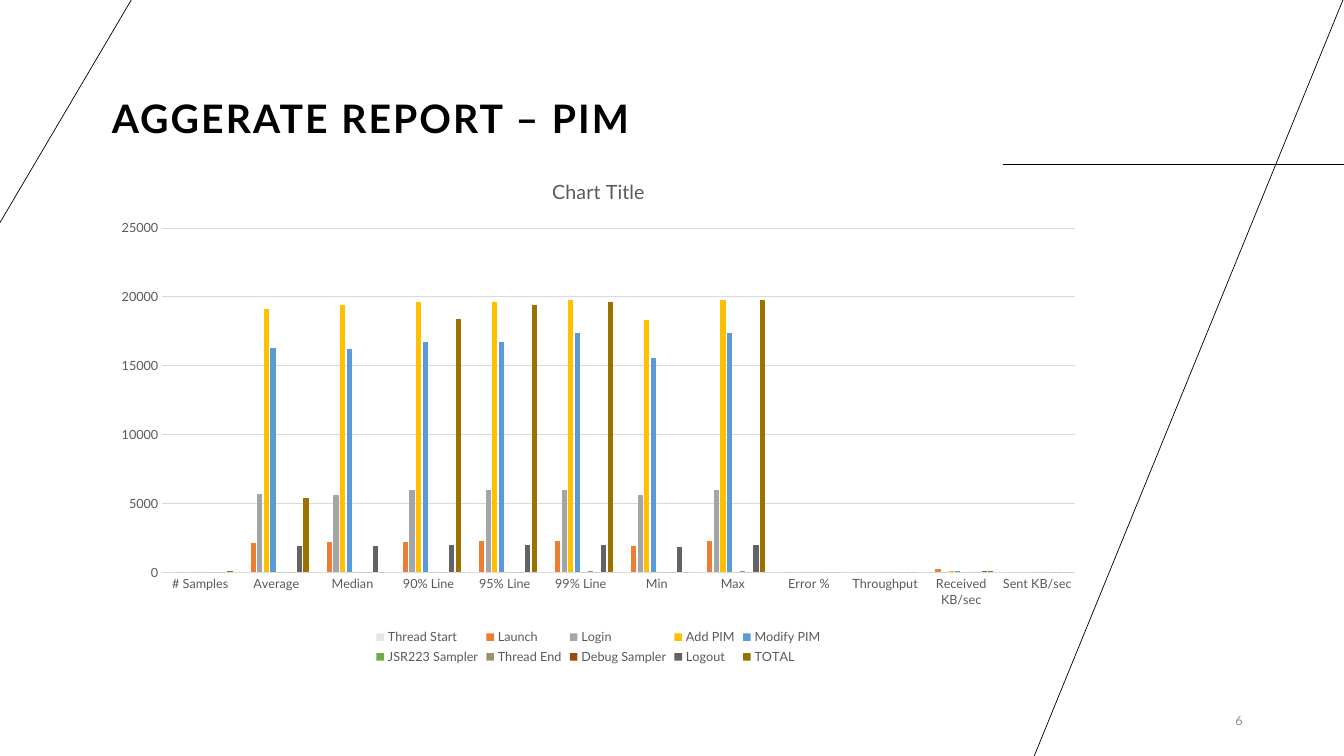
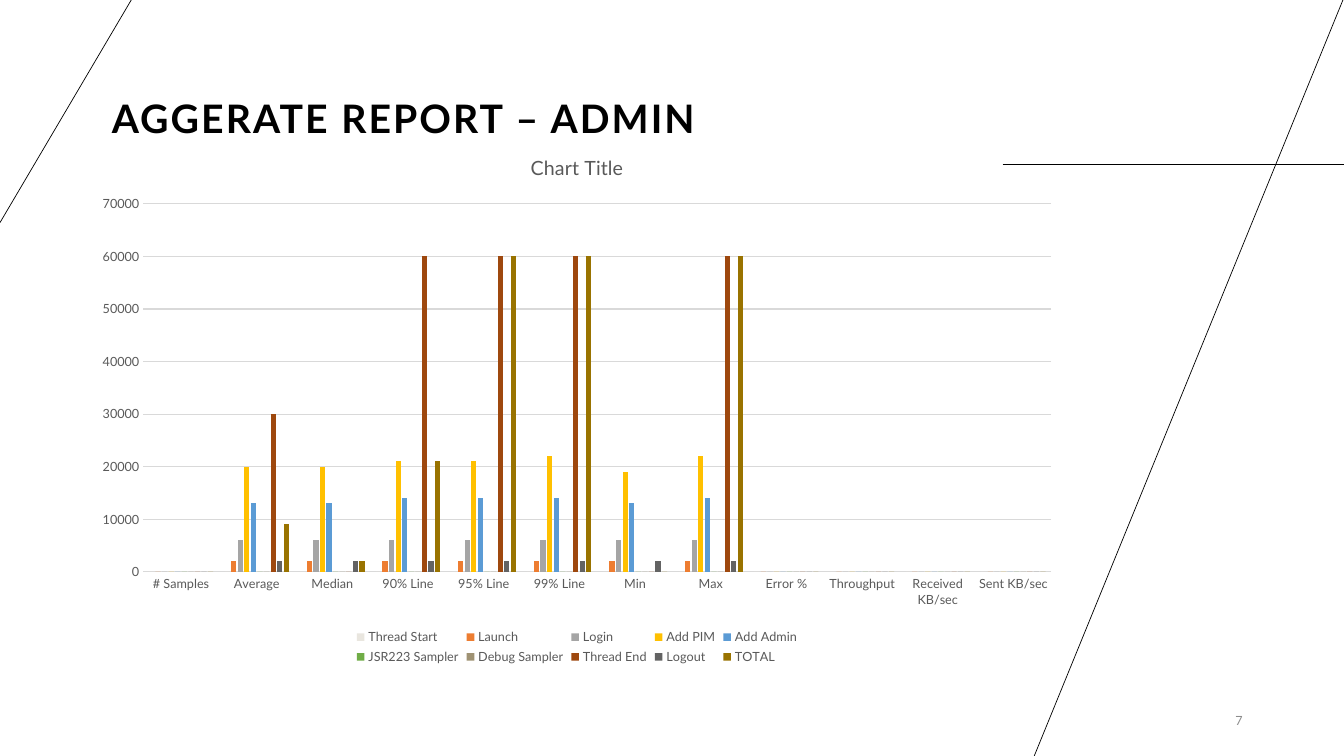
from dataclasses import dataclass

from lxml.etree import SubElement
from pptx import Presentation
from pptx.chart.data import CategoryChartData
from pptx.dml.color import RGBColor
from pptx.enum.chart import XL_CHART_TYPE as ChartType
from pptx.enum.chart import XL_LEGEND_POSITION as LegendPosition
from pptx.enum.chart import XL_TICK_MARK as TickMark
from pptx.enum.shapes import MSO_CONNECTOR as Connector
from pptx.enum.text import MSO_ANCHOR as Anchor
from pptx.enum.text import PP_ALIGN as Align
from pptx.oxml.ns import qn
from pptx.util import Pt

EMU_PER_PX = 9525
SLIDE_WIDTH, SLIDE_HEIGHT = 1280, 720


@dataclass(frozen=True)
class Theme:
    font: str = "Lato"
    ink: str = "000000"
    chart_text: str = "595959"
    grid: str = "D9D9D9"
    page_number: str = "8C8C8C"
    title_size: int = 28
    chart_title_size: int = 14
    small_size: int = 9
    rule_width: float = 0.5
    axis_width: float = 0.75
    series: tuple = ("E9E6DF", "ED7D31", "A5A5A5", "FFC000", "5B9BD5",
                     "70AD47", "9F9273", "9E480E", "636363", "997300")


THEME = Theme()

RULES = [
    (955, 157, SLIDE_WIDTH, 157),
    (1279, 0, 985, SLIDE_HEIGHT),
    (0, 212, 125, 0),
]

CATEGORIES = ["# Samples", "Average", "Median", "90% Line", "95% Line",
              "99% Line", "Min", "Max", "Error %", "Throughput",
              "Received KB/sec", "Sent KB/sec"]
ZEROS = [0] * len(CATEGORIES)

PIM_SERIES = {
    "Thread Start": ZEROS,
    "Launch": [0, 2100, 2200, 2200, 2300, 2300, 1900, 2300, 0, 0, 200, 0],
    "Login": [0, 5700, 5600, 6000, 6000, 6000, 5600, 6000, 0, 0, 0, 0],
    "Add PIM": [0, 19100, 19400, 19600, 19600, 19800, 18300, 19800, 0, 0, 100, 0],
    "Modify PIM": [0, 16300, 16200, 16700, 16700, 17400, 15600, 17400, 0, 0, 100, 0],
    "JSR223 Sampler": ZEROS,
    "Thread End": [0, 0, 0, 0, 0, 100, 0, 100, 0, 0, 0, 0],
    "Debug Sampler": ZEROS,
    "Logout": [0, 1900, 1900, 2000, 2000, 2000, 1800, 2000, 0, 0, 100, 0],
    "TOTAL": [100, 5400, 0, 18400, 19400, 19600, 0, 19800, 0, 0, 100, 0],
}

ADMIN_SERIES = {
    "Thread Start": ZEROS,
    "Launch": [0, 2000, 2000, 2000, 2000, 2000, 2000, 2000, 0, 0, 0, 0],
    "Login": [0, 6000, 6000, 6000, 6000, 6000, 6000, 6000, 0, 0, 0, 0],
    "Add PIM": [0, 20000, 20000, 21000, 21000, 22000, 19000, 22000, 0, 0, 0, 0],
    "Add Admin": [0, 13000, 13000, 14000, 14000, 14000, 13000, 14000, 0, 0, 0, 0],
    "JSR223 Sampler": ZEROS,
    "Debug Sampler": ZEROS,
    "Thread End": [0, 30000, 0, 60000, 60000, 60000, 0, 60000, 0, 0, 0, 0],
    "Logout": [0, 2000, 2000, 2000, 2000, 2000, 2000, 2000, 0, 0, 0, 0],
    "TOTAL": [0, 9000, 2000, 21000, 60000, 60000, 0, 60000, 0, 0, 0, 0],
}


def px(*lengths):
    return [length * EMU_PER_PX for length in lengths]


def rgb(color):
    return RGBColor.from_string(color)


def format_font(font, size, color, bold=False):
    font.name = THEME.font
    font.size = Pt(size)
    font.bold = bold
    font.color.rgb = rgb(color)


def format_line(line, color, width):
    line.color.rgb = rgb(color)
    line.width = Pt(width)


def add_text(slide, text, box, size, color, bold=False, align=Align.LEFT,
             anchor=Anchor.MIDDLE, line_spacing=1.0, tracking=0):
    shape = slide.shapes.add_textbox(*px(*box))
    frame = shape.text_frame
    frame.word_wrap = True
    frame.vertical_anchor = anchor
    paragraph = frame.paragraphs[0]
    paragraph.alignment = align
    paragraph.line_spacing = line_spacing
    run = paragraph.add_run()
    run.text = text
    format_font(run.font, size, color, bold)
    if tracking:
        run._r.get_or_add_rPr().set("spc", str(int(tracking * 100)))


def add_rule(slide, ends):
    connector = slide.shapes.add_connector(Connector.STRAIGHT, *px(*ends))
    format_line(connector.line, THEME.ink, THEME.rule_width)
    SubElement(connector._element.spPr, qn("a:effectLst"))


def format_axes(chart, maximum, step):
    for axis in (chart.category_axis, chart.value_axis):
        axis.major_tick_mark = TickMark.NONE
        axis.minor_tick_mark = TickMark.NONE
        format_font(axis.tick_labels.font, THEME.small_size, THEME.chart_text)
    format_line(chart.category_axis.format.line, THEME.grid, THEME.axis_width)
    value_axis = chart.value_axis
    value_axis.format.line.fill.background()
    value_axis.minimum_scale = 0
    value_axis.maximum_scale = maximum
    value_axis.major_unit = step
    format_line(value_axis.major_gridlines.format.line, THEME.grid, THEME.axis_width)


def add_column_chart(slide, box, series_values, maximum, step):
    data = CategoryChartData()
    data.categories = CATEGORIES
    for name, values in series_values.items():
        data.add_series(name, values)
    chart = slide.shapes.add_chart(ChartType.COLUMN_CLUSTERED, *px(*box), data).chart
    format_font(chart.font, THEME.small_size, THEME.chart_text)

    chart.has_title = True
    title = chart.chart_title
    title.include_in_layout = False
    title.text_frame.text = "Chart Title"
    format_font(title.text_frame.paragraphs[0].runs[0].font,
                THEME.chart_title_size, THEME.chart_text)

    chart.has_legend = True
    chart.legend.position = LegendPosition.BOTTOM
    chart.legend.include_in_layout = False
    format_font(chart.legend.font, THEME.small_size, THEME.chart_text)

    format_axes(chart, maximum, step)
    plot = chart.plots[0]
    plot.gap_width = 219
    plot.overlap = -27
    plot.vary_by_categories = False
    for series, color in zip(plot.series, THEME.series):
        series.invert_if_negative = False
        series.format.fill.solid()
        series.format.fill.fore_color.rgb = rgb(color)


def add_report_slide(presentation, title, number, **chart_options):
    slide = presentation.slides.add_slide(presentation.slide_layouts[6])
    for ends in RULES:
        add_rule(slide, ends)
    add_text(slide, title, (97, 84, 765, 56), size=THEME.title_size,
             color=THEME.ink, bold=True, anchor=Anchor.BOTTOM,
             line_spacing=0.9, tracking=1.5)
    add_text(slide, str(number), (1089, 667, 104, 38), size=THEME.small_size,
             color=THEME.page_number, align=Align.RIGHT)
    add_column_chart(slide, **chart_options)


def main():
    presentation = Presentation()
    presentation.slide_width, presentation.slide_height = px(SLIDE_WIDTH, SLIDE_HEIGHT)
    add_report_slide(presentation, "AGGERATE REPORT – PIM", 6,
                     box=(97, 151, 946, 486), series_values=PIM_SERIES,
                     maximum=25000, step=5000)
    add_report_slide(presentation, "AGGERATE REPORT – ADMIN", 7,
                     box=(79, 127, 941, 510), series_values=ADMIN_SERIES,
                     maximum=70000, step=10000)
    presentation.save("out.pptx")


if __name__ == "__main__":
    main()
